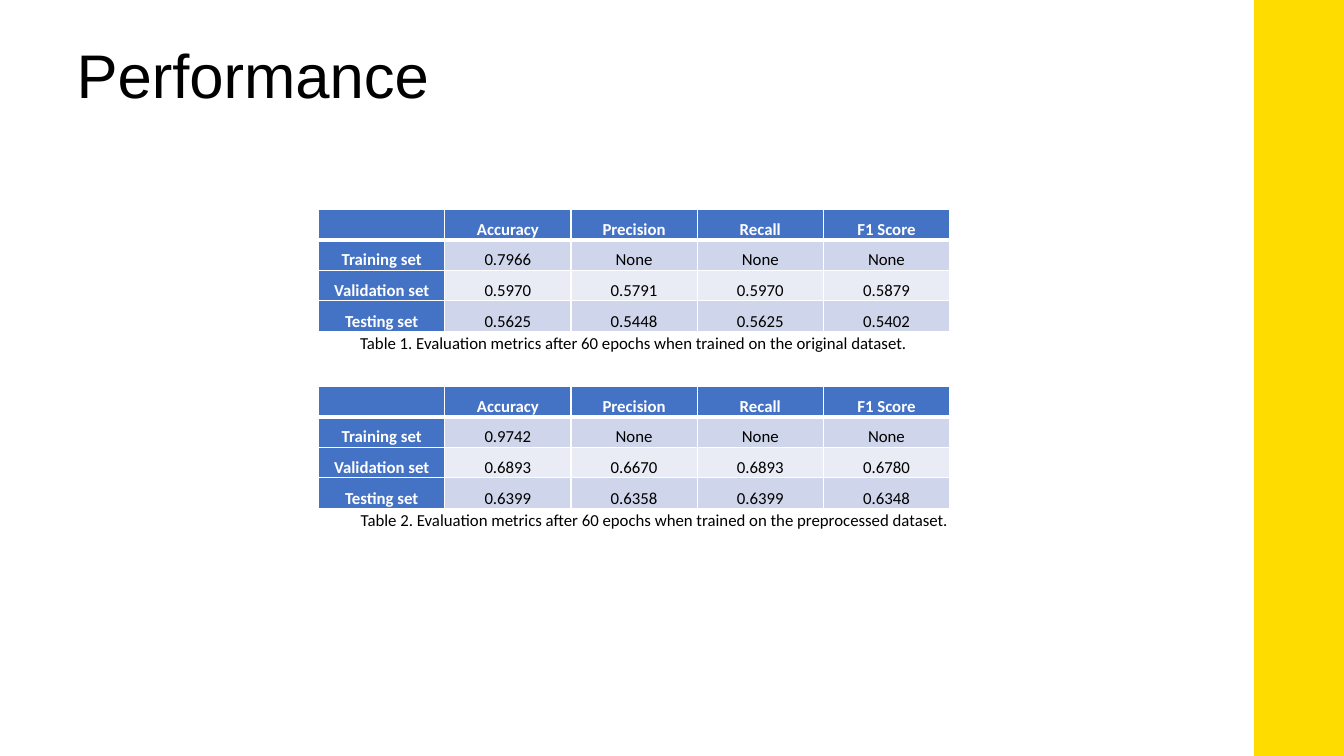
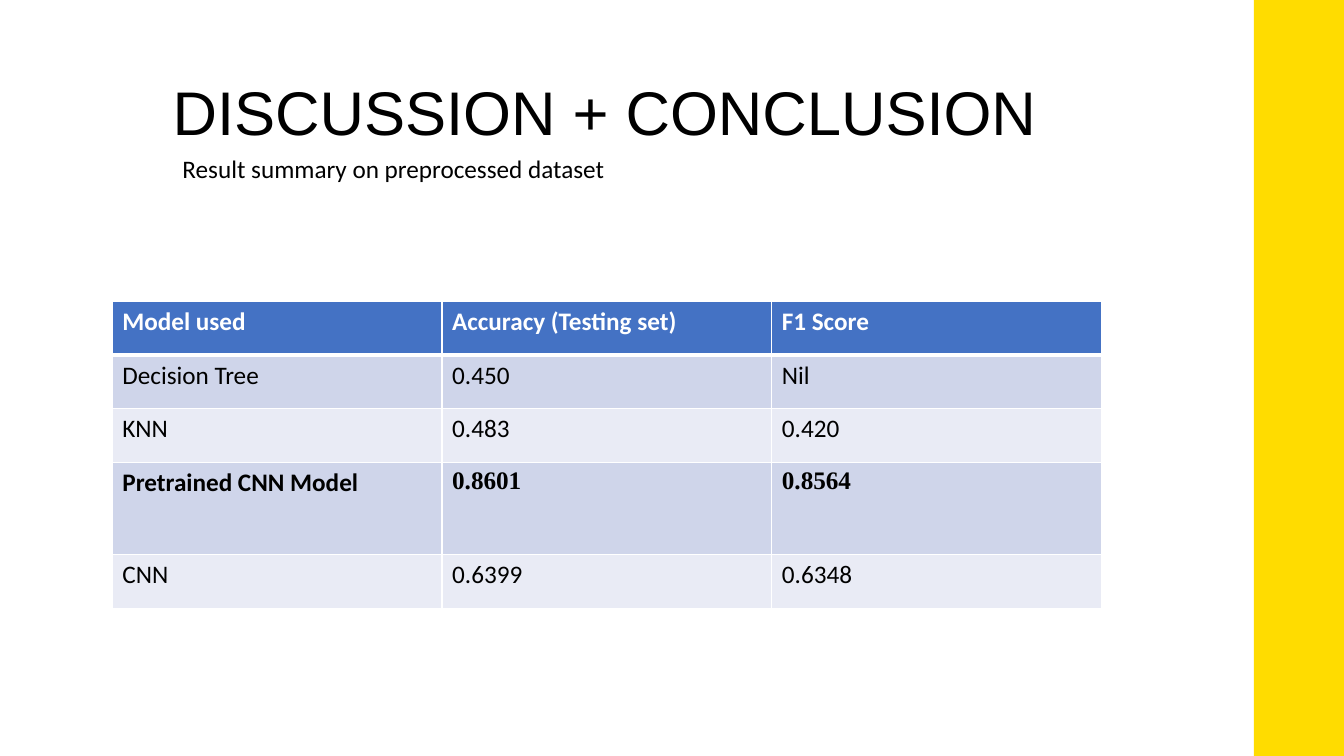
from lxml import etree
from pptx import Presentation
from pptx.dml.color import RGBColor
from pptx.enum.shapes import MSO_SHAPE
from pptx.enum.text import MSO_ANCHOR, PP_ALIGN
from pptx.oxml.ns import qn
from pptx.util import Cm, Pt

RECTANGLE = MSO_SHAPE.RECTANGLE
TOP, MIDDLE = MSO_ANCHOR.TOP, MSO_ANCHOR.MIDDLE
LEFT, CENTER = PP_ALIGN.LEFT, PP_ALIGN.CENTER

YELLOW = RGBColor(0xFF, 0xDC, 0x00)
BLUE = RGBColor(0x44, 0x72, 0xC4)
DARK_BAND = RGBColor(0xCF, 0xD5, 0xEA)
LIGHT_BAND = RGBColor(0xE9, 0xEB, 0xF5)
WHITE = RGBColor(0xFF, 0xFF, 0xFF)
BLACK = RGBColor(0x00, 0x00, 0x00)

TITLE_FONT, BODY_FONT, ACCENT_FONT = "Arial", "Calibri", "Times New Roman"
SLIDE_WIDTH, SLIDE_HEIGHT = Cm(33.87), Cm(19.05)
BAND_WIDTH = Cm(2.27)

METRICS_HEADER = ["", "Accuracy", "Precision", "Recall", "F1 Score"]
ORIGINAL_METRICS = [
    METRICS_HEADER,
    ["Training set", "0.7966", "None", "None", "None"],
    ["Validation set", "0.5970", "0.5791", "0.5970", "0.5879"],
    ["Testing set", "0.5625", "0.5448", "0.5625", "0.5402"],
]
PREPROCESSED_METRICS = [
    METRICS_HEADER,
    ["Training set", "0.9742", "None", "None", "None"],
    ["Validation set", "0.6893", "0.6670", "0.6893", "0.6780"],
    ["Testing set", "0.6399", "0.6358", "0.6399", "0.6348"],
]
MODEL_RESULTS = [
    ["Model used", "Accuracy (Testing set)", "F1 Score"],
    ["Decision Tree", "0.450", "Nil"],
    ["KNN", "0.483", "0.420"],
    ["Pretrained CNN Model", "0.8601", "0.8564"],
    ["CNN", "0.6399", "0.6348"],
]
BEST_MODEL_ROW = 3


def format_text(frame, size, font=BODY_FONT, color=BLACK, bold=False,
                align=LEFT, spacing=None):
    for paragraph in frame.paragraphs:
        paragraph.alignment = align
        paragraph.line_spacing = spacing
        for span in paragraph.runs:
            span.font.size = Pt(size)
            span.font.name = font
            span.font.bold = bold
            span.font.color.rgb = color


def add_text(page, text, left, top, width, height, size, anchor=TOP, **style):
    box = page.shapes.add_textbox(left, top, width, height)
    frame = box.text_frame
    frame.word_wrap = True
    frame.vertical_anchor = anchor
    frame.text = text
    format_text(frame, size, **style)


def add_page(deck, title, left, top, align):
    page = deck.slides.add_slide(deck.slide_layouts[6])
    band = page.shapes.add_shape(
        RECTANGLE, SLIDE_WIDTH - BAND_WIDTH, 0, BAND_WIDTH, SLIDE_HEIGHT)
    band.shadow.inherit = False
    band.fill.solid()
    band.fill.fore_color.rgb = YELLOW
    band.line.fill.background()
    add_text(page, title, left, top, Cm(28.6), Cm(3.68), 44, MIDDLE,
             font=TITLE_FONT, align=align, spacing=0.9)
    return page


def set_borders(cell, row):
    weights = {"L": 1, "R": 1, "T": 3 if row == 1 else 1, "B": 3 if row == 0 else 1}
    properties = cell._tc.get_or_add_tcPr()
    for side, weight in weights.items():
        line = etree.SubElement(properties, qn(f"a:ln{side}"), w=str(Pt(weight)))
        fill = etree.SubElement(line, qn("a:solidFill"))
        etree.SubElement(fill, qn("a:srgbClr"), val=str(WHITE))


def add_banded_table(page, rows, left, top, column_width, row_height,
                     header_column=False):
    count = len(rows[0])
    table = page.shapes.add_table(
        len(rows), count, left, top,
        column_width * count, row_height * len(rows)).table
    table.first_col = header_column
    for column in table.columns:
        column.width = column_width
    for row, texts in enumerate(rows):
        table.rows[row].height = row_height
        for column, text in enumerate(texts):
            cell = table.cell(row, column)
            cell.text = text
            set_borders(cell, row)
            cell.fill.solid()
            if is_header(row, column, header_column):
                cell.fill.fore_color.rgb = BLUE
            else:
                cell.fill.fore_color.rgb = DARK_BAND if row % 2 else LIGHT_BAND
    return table


def is_header(row, column, header_column):
    return row == 0 or (header_column and column == 0)


def add_metrics_table(page, rows, top, caption, caption_left):
    row_height = Cm(0.77)
    table = add_banded_table(page, rows, Cm(8.03), top, Cm(3.18), row_height, True)
    for row, texts in enumerate(rows):
        for column in range(len(texts)):
            cell = table.cell(row, column)
            cell.margin_left = cell.margin_right = Cm(0.19)
            cell.margin_top = cell.margin_bottom = 0
            if not cell.text:
                continue
            header = is_header(row, column, True)
            format_text(cell.text_frame, 12, color=WHITE if header else BLACK,
                        bold=header, align=CENTER, spacing=1.5)
    add_text(page, caption, caption_left, top + Cm(2.74), Cm(16.94), Cm(0.94), 12,
             align=CENTER, spacing=1.5)


def add_model_table(page):
    table = add_banded_table(
        page, MODEL_RESULTS, Cm(2.83), Cm(7.6), Cm(8.31), Cm(1.35))
    table.rows[BEST_MODEL_ROW].height = Cm(2.33)
    for row, texts in enumerate(MODEL_RESULTS):
        best = row == BEST_MODEL_ROW
        for column in range(len(texts)):
            format_text(table.cell(row, column).text_frame, 18,
                        font=ACCENT_FONT if best and column else BODY_FONT,
                        color=BLACK if row else WHITE, bold=best or row == 0)


def add_performance_page(deck):
    page = add_page(deck, "Performance", Cm(1.68), Cm(0.15), LEFT)
    add_metrics_table(
        page, ORIGINAL_METRICS, Cm(5.27),
        "Table 1. Evaluation metrics after 60 epochs when trained on the original dataset.",
        Cm(7.5))
    add_metrics_table(
        page, PREPROCESSED_METRICS, Cm(9.73),
        "Table 2. Evaluation metrics after 60 epochs when trained on the preprocessed dataset.",
        Cm(8.03))


def add_conclusion_page(deck):
    page = add_page(deck, "DISCUSSION + CONCLUSION", Cm(0.95), Cm(1.07), CENTER)
    add_model_table(page)
    add_text(page, "Result summary on preprocessed dataset",
             Cm(4.35), Cm(3.74), Cm(20.85), Cm(1.02), 18)


def main():
    deck = Presentation()
    deck.slide_width, deck.slide_height = SLIDE_WIDTH, SLIDE_HEIGHT
    add_performance_page(deck)
    add_conclusion_page(deck)
    deck.save("out.pptx")


if __name__ == "__main__":
    main()
